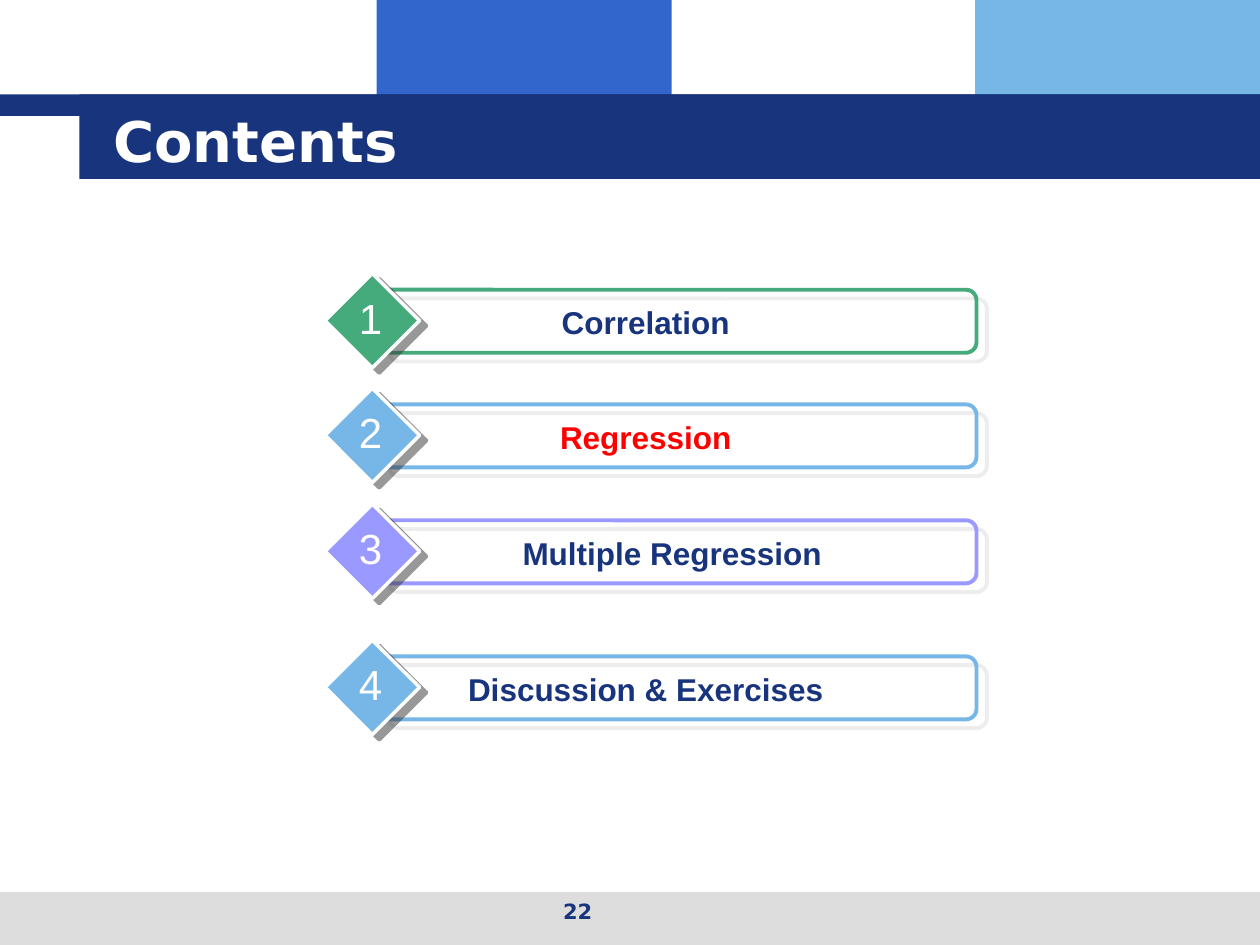
from lxml.etree import SubElement
from pptx import Presentation
from pptx.dml.color import RGBColor
from pptx.enum.shapes import MSO_SHAPE as Shape
from pptx.enum.text import MSO_ANCHOR as Anchor, PP_ALIGN as Align
from pptx.oxml.ns import qn
from pptx.util import Inches, Pt

NAVY = RGBColor(0x17, 0x34, 0x7D)
BLUE = RGBColor(0x33, 0x66, 0xCC)
SKY = RGBColor(0x77, 0xB7, 0xE7)
GREEN = RGBColor(0x45, 0xAB, 0x7D)
VIOLET = RGBColor(0x99, 0x99, 0xFF)
RED = RGBColor(0xFF, 0x00, 0x00)
WHITE = RGBColor(0xFF, 0xFF, 0xFF)
SILVER = RGBColor(0xDD, 0xDD, 0xDD)
DARK = RGBColor(0x33, 0x33, 0x33)


class Deck:
    head_font = "DejaVu Sans"
    body_font = "Arial"

    def __init__(self, slide):
        self.slide = slide

    def shape(self, kind, box, fill=None, line=None, width=2):
        item = self.slide.shapes.add_shape(kind, *map(Inches, box))
        item.shadow.inherit = False
        if fill is None:
            item.fill.background()
        else:
            item.fill.solid()
            item.fill.fore_color.rgb = fill
        if line is None:
            item.line.fill.background()
        else:
            item.line.color.rgb = line
            item.line.width = Pt(width)
        return item

    def shadow(self, item, color, dist, angle):
        effects = item._element.spPr.find(qn("a:effectLst"))
        outer = SubElement(effects, qn("a:outerShdw"), blurRad="0",
                           dist=str(Pt(dist)), dir=str(angle * 60000),
                           algn="ctr", rotWithShape="0")
        tint = SubElement(outer, qn("a:srgbClr"), val=str(color))
        SubElement(tint, qn("a:alpha"), val="50000")

    def style(self, frame, text, font, size, color, bold, align):
        frame.text = text
        par = frame.paragraphs[0]
        par.alignment = align
        face = par.runs[0].font
        face.name, face.size, face.bold = font, Pt(size), bold
        face.color.rgb = color

    def text(self, text, box, font, size, color, bold=True, wrap=True):
        frame = self.slide.shapes.add_textbox(*map(Inches, box)).text_frame
        frame.word_wrap = wrap
        self.style(frame, text, font, size, color, bold, Align.CENTER)

    def title(self, text, box):
        item = self.slide.shapes.title
        item.left, item.top, item.width, item.height = map(Inches, box)
        # Bring the title in front of the bars
        self.slide.shapes._spTree.append(item._element)
        frame = item.text_frame
        frame.vertical_anchor = Anchor.MIDDLE
        self.style(frame, text, self.head_font, 32, WHITE, True, Align.LEFT)

    def entry(self, num, text, top, color, ink, width):
        bar = self.shape(Shape.ROUNDED_RECTANGLE, (3, top + 0.13, 4.75, 0.5),
                         line=color, width=2.25)
        self.shadow(bar, SILVER, 7.8, 40)
        gem = self.shape(Shape.DIAMOND, (2.58, top, 0.75, 0.75), color, WHITE)
        self.shadow(gem, DARK, 5, 37)
        self.text(text, (3.25, top + 0.19, width, 0.4),
                  self.body_font, 18, ink)
        self.text(str(num), (2.75, top + 0.1, 0.38, 0.5),
                  self.body_font, 24, WHITE, bold=False, wrap=False)


def main():
    prs = Presentation()
    prs.slide_width, prs.slide_height = Inches(10), Inches(7.5)
    deck = Deck(prs.slides.add_slide(prs.slide_layouts[5]))

    # Header blocks, title band and footer strip
    for box, fill in (
        ((2.99, 0, 2.34, 0.92), BLUE),
        ((7.74, 0, 2.26, 0.92), SKY),
        ((0, 7.08, 10, 0.42), SILVER),
        ((0, 0.75, 10, 0.17), NAVY),
        ((0.63, 0.75, 9.37, 0.67), NAVY),
    ):
        deck.shape(Shape.RECTANGLE, box, fill)
    deck.title("Contents", (0.8, 0.8, 8.53, 0.62))

    # Contents entries
    entries = (
        ("Correlation", 2.17, GREEN, NAVY, 3.75),
        ("Regression", 3.08, SKY, RED, 3.75),
        ("Multiple Regression", 4, VIOLET, NAVY, 4.17),
        ("Discussion & Exercises", 5.08, SKY, NAVY, 3.75),
    )
    for num, entry in enumerate(entries, 1):
        deck.entry(num, *entry)

    # Page number
    deck.text("22", (3.42, 7.08, 2.33, 0.35), deck.head_font, 12, NAVY)
    prs.save("out.pptx")


if __name__ == "__main__":
    main()
